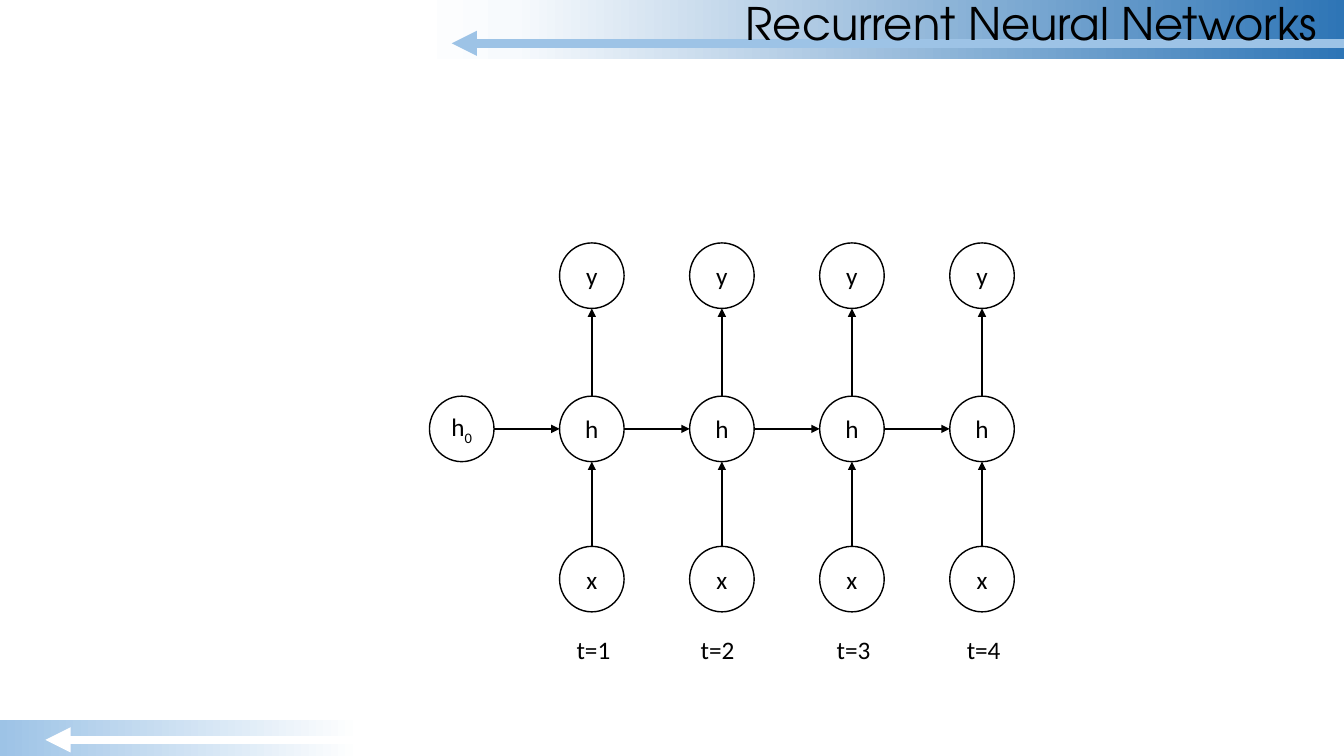
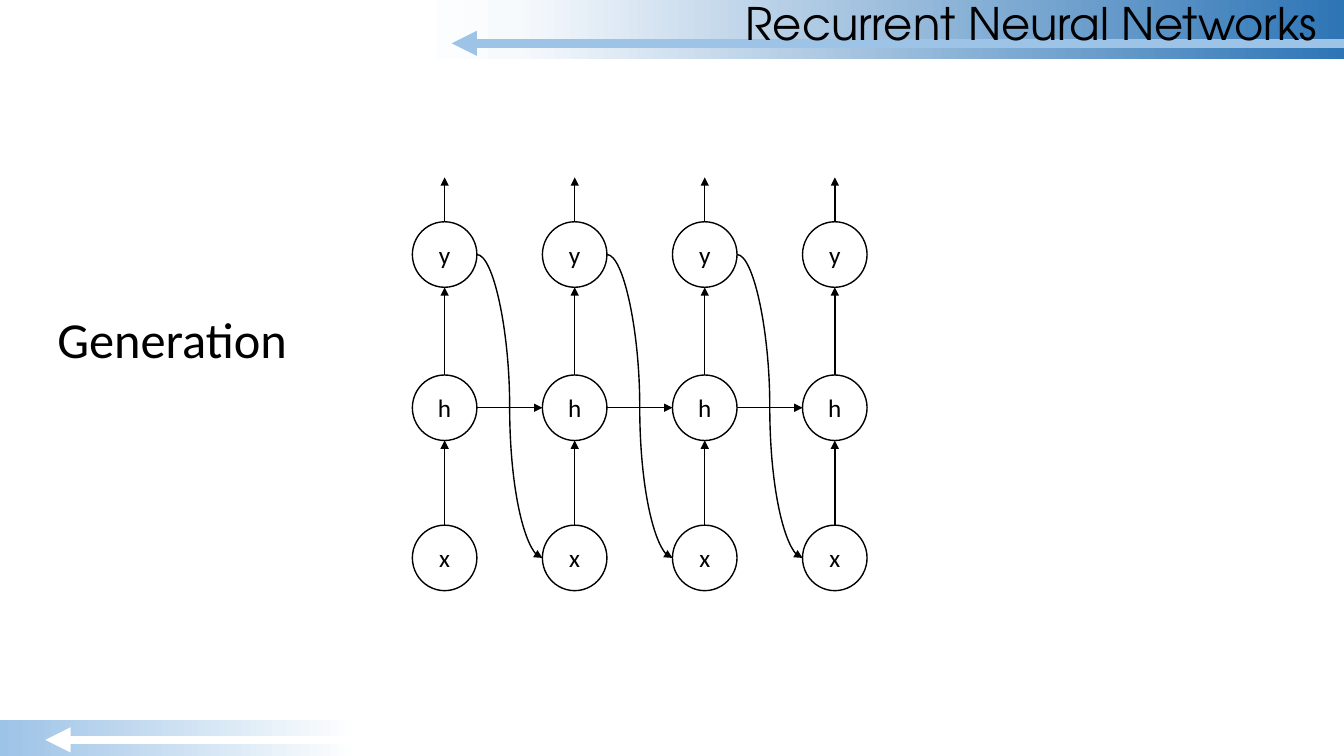
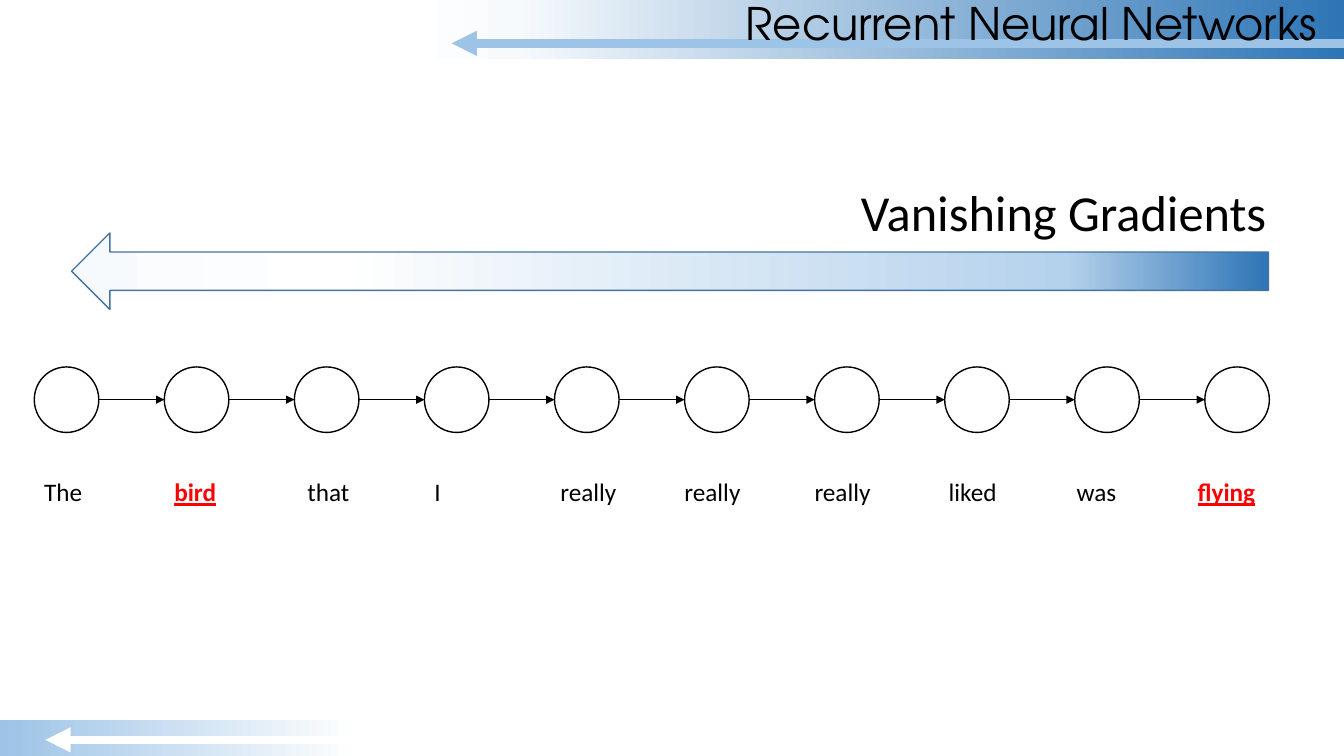
"""Build three slides on recurrent neural networks."""
from dataclasses import dataclass

from lxml import etree
from pptx import Presentation
from pptx import util as u
from pptx.dml.color import RGBColor
from pptx.enum import shapes, text
from pptx.oxml.ns import qn


@dataclass(frozen=True)
class Theme:
    ink: str = "000000"
    white: str = "FFFFFF"
    highlight: str = "FF0000"
    pale: str = "F7FAFD"
    soft: str = "B5D2EC"
    light: str = "9DC3E6"
    deep: str = "2E75B6"
    outline: str = "43739E"
    body_font: str = "Calibri"
    title_font: str = "TeX Gyre Adventor"
    body_size: int = 18
    heading_size: int = 36
    title_size: int = 32
    thin: int = 1
    thick: int = 6


THEME = Theme()
WIDTH, HEIGHT = 13.33, 7.5
NODE_WIDTH, NODE_HEIGHT = 0.64, 0.65
PITCH = 1.29
HIDDEN_DROP, INPUT_DROP = 1.52, 3.01


def add_run(paragraph, content, size=THEME.body_size, font=THEME.body_font,
            color=THEME.ink, emphasis=False, baseline=0):
    run = paragraph.add_run()
    run.text = content
    run.font.size = u.Pt(size)
    run.font.name = font
    run.font.color.rgb = RGBColor.from_string(color)
    if emphasis:
        run.font.bold = run.font.underline = True
    if baseline:
        run.font._element.set("baseline", str(baseline * 1000))


class Deck:
    def __init__(self, theme):
        self.theme = theme
        self.presentation = Presentation()
        self.presentation.slide_width = u.Inches(WIDTH)
        self.presentation.slide_height = u.Inches(HEIGHT)
        self.slide = None

    def new_slide(self, title):
        theme = self.theme
        self.slide = self.presentation.slides.add_slide(self.presentation.slide_layouts[5])
        self.gradient_shape(shapes.MSO_SHAPE.RECTANGLE, (4.08, 0, 9.25, 0.59),
                            [(0, theme.white), (11, theme.pale), (100, theme.deep)])
        self.arrow((WIDTH, 0.43), (4.48, 0.43), theme.light, theme.thick)
        self.gradient_shape(shapes.MSO_SHAPE.RECTANGLE, (0, 7.14, 5.25, 0.36),
                            [(0, theme.light), (68, theme.white), (100, theme.white)])
        self.arrow((9.3, 7.34), (0.45, 7.34), theme.white, theme.thick)
        self.title(title)

    def title(self, content):
        shape = self.slide.shapes.title
        self.slide.shapes.element.append(shape.element)
        shape.left, shape.top, shape.width, shape.height = map(
            u.Inches, (7.2, 0.17, 5.97, 0.18))
        frame = shape.text_frame
        frame.auto_size = text.MSO_AUTO_SIZE.NONE
        frame.vertical_anchor = text.MSO_ANCHOR.MIDDLE
        paragraph = frame.paragraphs[0]
        paragraph.alignment = text.PP_ALIGN.RIGHT
        paragraph.line_spacing = 0.9
        add_run(paragraph, content, size=self.theme.title_size, font=self.theme.title_font)

    def preset(self, kind, box):
        shape = self.slide.shapes.add_shape(kind, *map(u.Inches, box))
        shape.shadow.inherit = False
        return shape

    def outline(self, shape, color):
        shape.line.color.rgb = RGBColor.from_string(color)
        shape.line.width = u.Pt(self.theme.thin)

    def gradient_shape(self, kind, box, stops, angle=0):
        shape = self.preset(kind, box)
        shape.line.fill.background()
        shape.fill.gradient()
        shape.fill.gradient_angle = angle
        stop_list = next(shape.element.iter(qn("a:gsLst")))
        for stop in list(stop_list):
            stop_list.remove(stop)
        for position, color in stops:
            stop = etree.SubElement(stop_list, qn("a:gs"), pos=str(position * 1000))
            etree.SubElement(stop, qn("a:srgbClr"), val=color)
        return shape

    def arrow(self, start, end, color=THEME.ink, width=THEME.thin,
              kind=shapes.MSO_CONNECTOR.STRAIGHT):
        connector = self.slide.shapes.add_connector(kind, *map(u.Inches, start + end))
        connector.line.color.rgb = RGBColor.from_string(color)
        connector.line.width = u.Pt(width)
        etree.SubElement(connector.line._get_or_add_ln(), qn("a:tailEnd"), type="triangle")
        etree.SubElement(connector.element.spPr, qn("a:effectLst"))

    def node(self, left, top, label="", subscript=""):
        shape = self.preset(shapes.MSO_SHAPE.OVAL, (left, top, NODE_WIDTH, NODE_HEIGHT))
        shape.fill.background()
        self.outline(shape, self.theme.ink)
        frame = shape.text_frame
        frame.margin_left = frame.margin_right = 0
        frame.vertical_anchor = text.MSO_ANCHOR.MIDDLE
        paragraph = frame.paragraphs[0]
        paragraph.alignment = text.PP_ALIGN.CENTER
        if label:
            add_run(paragraph, label)
        if subscript:
            add_run(paragraph, subscript, baseline=-25)

    def link(self, left, top):
        middle = top + NODE_HEIGHT / 2
        self.arrow((left + NODE_WIDTH, middle), (left + PITCH, middle))

    def time_step(self, left, top):
        center = left + NODE_WIDTH / 2
        hidden, entry = top + HIDDEN_DROP, top + INPUT_DROP
        for label, row in (("y", top), ("h", hidden), ("x", entry)):
            self.node(left, row, label)
        self.arrow((center, hidden), (center, top + NODE_HEIGHT))
        self.arrow((center, entry), (center, hidden + NODE_HEIGHT))

    def text_box(self, box, size=THEME.body_size, tabs=(), runs=()):
        shape = self.slide.shapes.add_textbox(*map(u.Inches, box))
        shape.text_frame.word_wrap = True
        paragraph = shape.text_frame.paragraphs[0]
        if tabs:
            tab_list = etree.SubElement(paragraph._p.get_or_add_pPr(), qn("a:tabLst"))
            for tab in tabs:
                etree.SubElement(tab_list, qn("a:tab"), pos=str(u.Inches(tab)), algn="l")
        for content, style in runs:
            add_run(paragraph, content, size=size, **style)


def unrolled_slide(deck):
    left, top = 5.55, 2.41
    hidden = top + HIDDEN_DROP
    deck.node(left - PITCH, hidden, "h", "0")
    for step in range(4):
        deck.link(left + (step - 1) * PITCH, hidden)
        deck.time_step(left + step * PITCH, top)
    deck.text_box((5.62, 6.24, 4.51, 0.4), tabs=(1.23, 2.58, 3.87),
                  runs=[("t=1\tt=2\tt=3\tt=4", {})])


def generation_slide(deck):
    first, top = 4.09, 2.2
    deck.text_box((0.47, 3.01, 2.6, 0.71), deck.theme.heading_size,
                  runs=[("Generation", {})])
    for step in range(4):
        left = first + step * PITCH
        center, middle = left + NODE_WIDTH / 2, top + NODE_HEIGHT / 2
        deck.time_step(left, top)
        deck.arrow((center, top), (center, 1.76))
        if step < 3:
            deck.link(left, top + HIDDEN_DROP)
            deck.arrow((left + NODE_WIDTH, middle), (left + PITCH, middle + INPUT_DROP),
                       kind=shapes.MSO_CONNECTOR.CURVE)


def vanishing_slide(deck):
    theme = deck.theme
    left, top, count = 0.34, 3.64, 10
    for step in range(count):
        deck.node(left + step * PITCH, top)
        if step < count - 1:
            deck.link(left + step * PITCH, top)
    key_word = {"color": theme.highlight, "emphasis": True}
    deck.text_box((left, 4.68, 12.52, 0.4),
                  tabs=(1.29, 2.61, 3.87, 5.12, 6.35, 7.64, 8.97, 10.24, 11.44),
                  runs=[("The\t", {}), ("bird", key_word),
                        ("\tthat\tI\treally\treally\treally\tliked\twas\t", {}),
                        ("flying", key_word)])
    gradient = deck.gradient_shape(
        shapes.MSO_SHAPE.RIGHT_ARROW, (0.71, 2.31, 11.87, 0.76),
        [(0, theme.pale), (22, theme.white), (83, theme.soft), (100, theme.deep)], angle=180)
    gradient.rotation = 180
    deck.outline(gradient, theme.outline)
    deck.text_box((8.44, 1.75, 4.4, 0.71), theme.heading_size,
                  runs=[("Vanishing Gradients", {})])


def main():
    deck = Deck(THEME)
    for draw in (unrolled_slide, generation_slide, vanishing_slide):
        deck.new_slide("Recurrent Neural Networks")
        draw(deck)
    deck.presentation.save("out.pptx")


if __name__ == "__main__":
    main()
